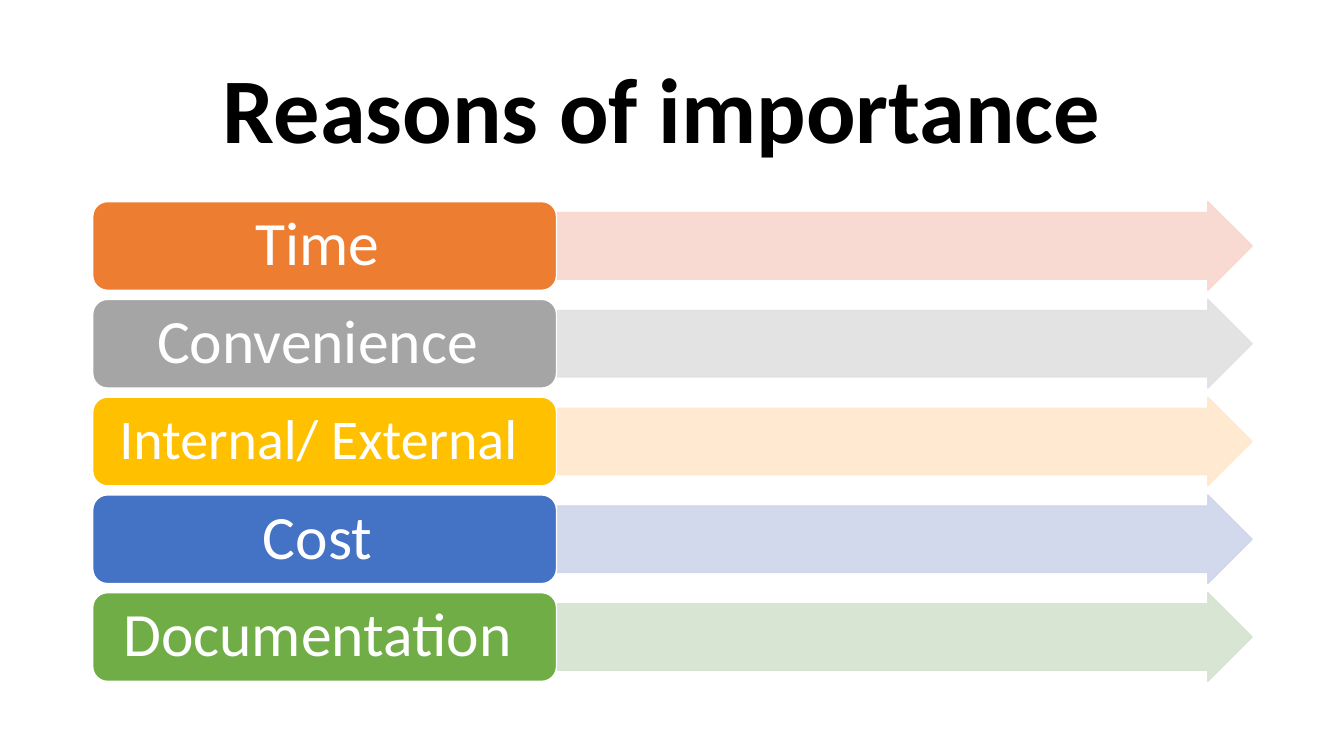
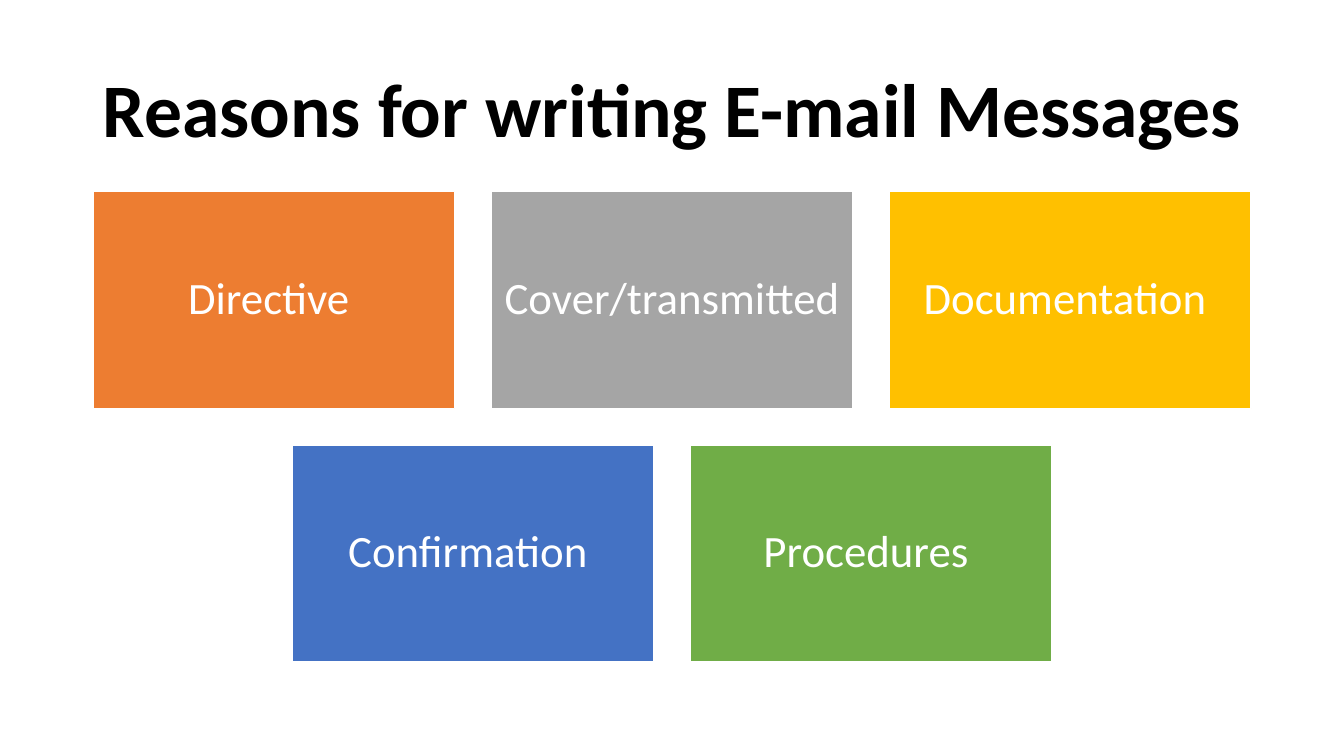
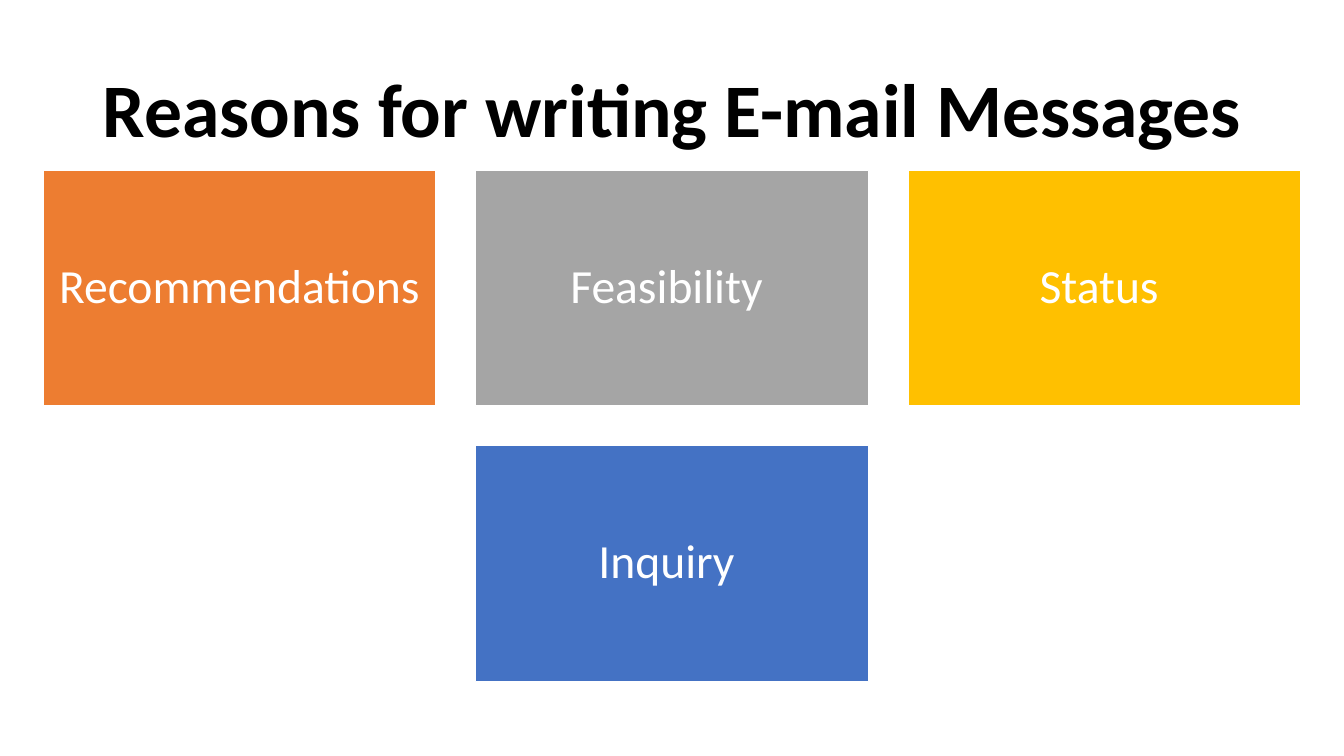
from dataclasses import dataclass

from lxml import etree
from pptx import Presentation
from pptx import util as u
from pptx.dml.color import RGBColor
from pptx.enum import shapes, text
from pptx.oxml.ns import qn


@dataclass(frozen=True)
class Theme:
    """Colours, font and type sizes shared by the slides."""

    font: str = "Calibri"
    ink: str = "000000"
    paper: str = "FFFFFF"
    accents: tuple = ("ED7D31", "A5A5A5", "FFC000", "4472C4", "70AD47")
    tints: tuple = ("F8D7CE", "E1E1E1", "FFE8CC", "CFD5EA", "D5E3CF")
    tint_opacity: int = 90
    line_spacing: float = 0.9
    large_title: int = 66
    title: int = 54
    row_label: int = 44
    long_row_label: int = 40


THEME = Theme()
PAGE_WIDTH, PAGE_HEIGHT = 13.33, 7.5
SHAPE = shapes.MSO_SHAPE
ALIGN = text.PP_ALIGN


def rgb(code):
    """Turn a hex code into a colour."""
    return RGBColor.from_string(code)


def style_text(frame, size, colour, align, bold=False):
    """Format every paragraph and run of a text frame."""
    frame.word_wrap = True
    frame.vertical_anchor = text.MSO_ANCHOR.MIDDLE
    for para in frame.paragraphs:
        para.alignment = align
        para.line_spacing = THEME.line_spacing
        for span in para.runs:
            span.font.name = THEME.font
            span.font.size = u.Pt(size)
            span.font.bold = bold
            span.font.color.rgb = rgb(colour)


def set_opacity(shape, percent):
    """Make the fill and outline of a shape partly transparent."""
    for colour in shape.fill._xPr.iter(qn("a:srgbClr")):
        etree.SubElement(colour, qn("a:alpha"), val=str(percent * 1000))


def add_block(page, kind, box, fill, line):
    """Add a filled, outlined shape at left, top, width, height."""
    block = page.shapes.add_shape(kind, *map(u.Inches, box))
    block.shadow.inherit = False
    block.fill.solid()
    block.fill.fore_color.rgb = rgb(fill)
    block.line.color.rgb = rgb(line)
    block.line.width = u.Pt(1)
    return block


def add_label_block(page, kind, box, fill, label, size):
    """Add a coloured block with a centred white label."""
    block = add_block(page, kind, box, fill, THEME.paper)
    frame = block.text_frame
    frame.text = label
    frame.margin_left = frame.margin_right = u.Pt(size * 0.3)
    frame.margin_top = frame.margin_bottom = u.Pt(size * 0.15)
    style_text(frame, size, THEME.paper, ALIGN.CENTER)


def add_arrow(page, box, tint):
    """Add a pale block arrow."""
    arrow = add_block(page, SHAPE.RIGHT_ARROW, box, tint, tint)
    arrow.adjustments[0] = 0.75
    arrow.adjustments[1] = 0.5
    set_opacity(arrow, THEME.tint_opacity)


def add_arrow_rows(page, labels):
    """Stack labelled rows, each followed by an arrow."""
    left, top, height, pitch = 0.92, 2, 0.88, 0.97
    label_width, arrow_width = 4.6, 6.9
    for row, (label, accent, tint) in enumerate(zip(labels, THEME.accents, THEME.tints)):
        y = top + row * pitch
        size = THEME.long_row_label if len(label) > 15 else THEME.row_label
        add_arrow(page, (left + label_width, y, arrow_width, height), tint)
        add_label_block(page, SHAPE.ROUNDED_RECTANGLE, (left, y, label_width, height),
                        accent, label, size)


def add_tiles(page, labels, top, width, size, columns=3):
    """Lay out tiles in rows, each row centred on the page."""
    height, gap = width * 0.6, width * 0.1
    for index, (label, accent) in enumerate(zip(labels, THEME.accents)):
        row, column = divmod(index, columns)
        count = min(columns, len(labels) - row * columns)
        left = (PAGE_WIDTH - count * width - (count - 1) * gap) / 2
        box = (left + column * (width + gap), top + row * (height + gap), width, height)
        add_label_block(page, SHAPE.RECTANGLE, box, accent, label, size)


def place_title(layout):
    """Set the title area that all pages inherit."""
    title = layout.placeholders[0]
    title.left, title.top = u.Inches(0.92), u.Inches(0.4)
    title.width, title.height = u.Inches(11.5), u.Inches(1.45)


def add_page(deck, layout, heading, size=THEME.title, align=ALIGN.LEFT):
    """Add a page with a bold title."""
    page = deck.slides.add_slide(layout)
    frame = page.shapes.title.text_frame
    frame.text = heading
    frame.auto_size = text.MSO_AUTO_SIZE.NONE
    style_text(frame, size, THEME.ink, align, bold=True)
    return page


def main():
    """Build and save the deck."""
    deck = Presentation()
    deck.slide_width, deck.slide_height = u.Inches(PAGE_WIDTH), u.Inches(PAGE_HEIGHT)
    layout = deck.slide_layouts.get_by_name("Title Only")
    place_title(layout)

    page = add_page(deck, layout, "Reasons of importance ", THEME.large_title, ALIGN.CENTER)
    add_arrow_rows(page, ["Time ", "Convenience ", "Internal/ External ", "Cost ",
                          "Documentation "])

    heading = "Reasons for writing E-mail Messages"
    page = add_page(deck, layout, heading)
    add_tiles(page, ["Directive ", "Cover/transmitted ", "Documentation ", "Confirmation ",
                     "Procedures "], top=1.9, width=3.59, size=32)

    page = add_page(deck, layout, heading)
    add_tiles(page, ["Recommendations ", "Feasibility ", "Status ", "Inquiry "],
              top=1.69, width=3.9, size=34)

    deck.save("out.pptx")


if __name__ == "__main__":
    main()
